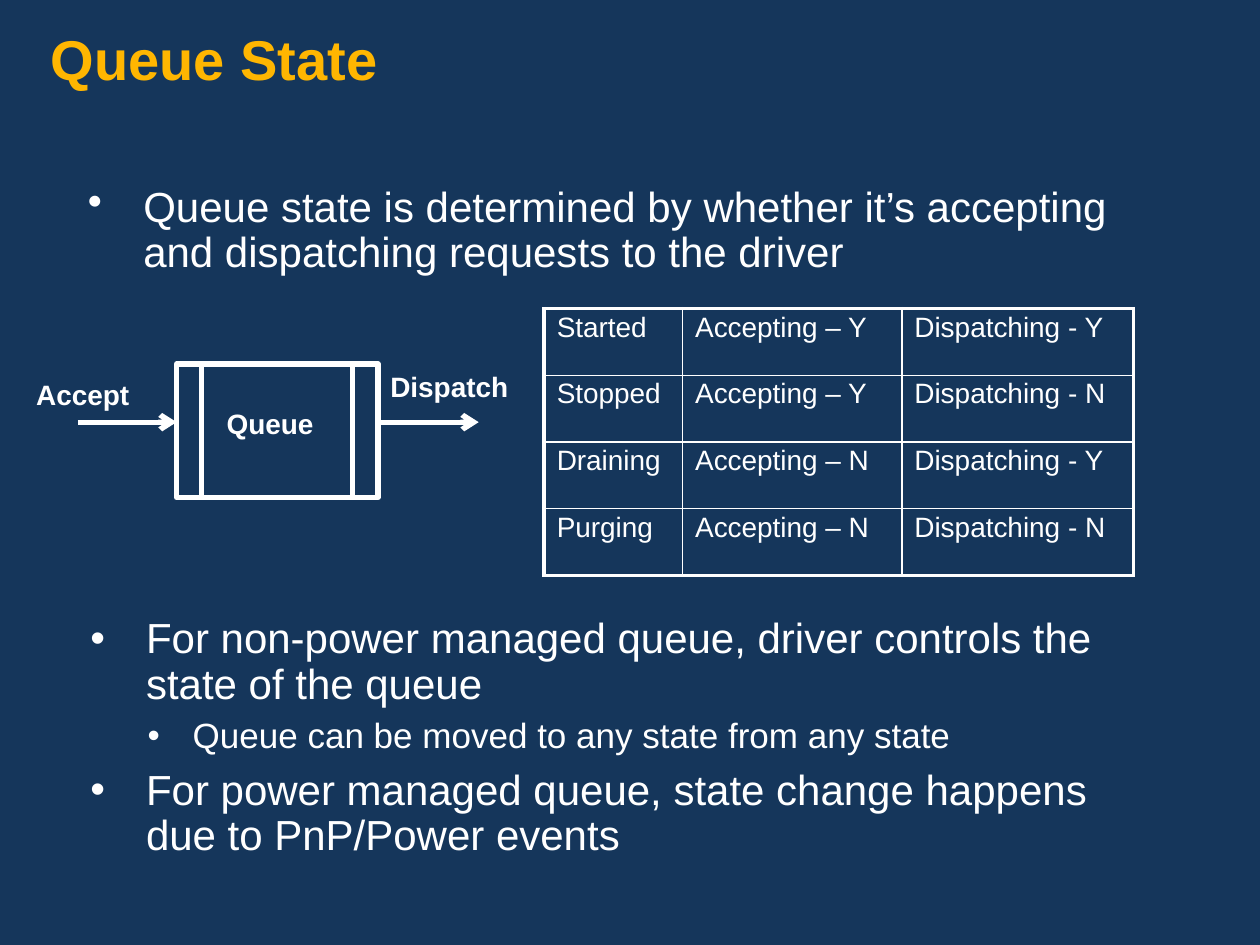
from dataclasses import dataclass

from lxml import etree
from pptx import Presentation
from pptx import util as u
from pptx.dml import color
from pptx.enum import shapes, text
from pptx.oxml import ns


@dataclass(frozen=True)
class Theme:
    background: color.RGBColor = color.RGBColor(0x15, 0x36, 0x5B)
    heading: color.RGBColor = color.RGBColor(0xFF, 0xB6, 0x01)
    ink: color.RGBColor = color.RGBColor(0xFF, 0xFF, 0xFF)
    font: str = "Arial"
    title_size: float = 32
    bullet_sizes: tuple = (24, 20)
    small_size: float = 16
    line_spacing: float = 0.9
    thick: float = 3
    outer: float = 2.25
    inner: float = 1


@dataclass(frozen=True)
class Box:
    left: float
    top: float
    width: float
    height: float

    def lengths(self) -> tuple:
        return tuple(u.Cm(v) for v in (self.left, self.top, self.width, self.height))


@dataclass(frozen=True)
class Label:
    words: str
    box: Box


@dataclass(frozen=True)
class Bullet:
    words: str
    level: int = 0


@dataclass(frozen=True)
class Arrow:
    start: float
    end: float
    height: float


@dataclass(frozen=True)
class QueueState:
    name: str
    accepting: str
    dispatching: str

    def cells(self) -> tuple:
        return (self.name, f"Accepting – {self.accepting}",
                f"Dispatching - {self.dispatching}")


THEME = Theme()
INDENTS = ((1.12, 1.12), (2.06, 0.91))
TITLE = Label("Queue State", Box(0, 0, 25.4, 1.9))
INTRO_BOX = Box(1.52, 3.63, 21.54, 2.08)
INTRO = [Bullet("Queue state is determined by whether it’s accepting and "
                "dispatching requests to the driver")]
CONTROL_BOX = Box(1.57, 12.32, 21.54, 5.23)
CONTROL = [
    Bullet("For non-power managed queue, driver controls the state of the queue"),
    Bullet("Queue can be moved to any state from any state", 1),
    Bullet("For power managed queue, state change happens due to PnP/Power events"),
]
TABLE_BOX = Box(10.97, 6.22, 11.88, 5.38)
COLUMN_WIDTHS = (2.79, 4.42, 4.67)
STATES = [
    QueueState("Started", "Y", "Y"),
    QueueState("Stopped", "Y", "N"),
    QueueState("Draining", "N", "Y"),
    QueueState("Purging", "N", "N"),
]
QUEUE_BOX = Box(3.56, 7.34, 4.06, 2.69)
ARROWS = [Arrow(1.57, 3.56, 8.51), Arrow(7.62, 9.65, 8.51)]
LABELS = [
    Label("Queue", Box(4.32, 8.08, 2.29, 0.94)),
    Label("Dispatch", Box(7.62, 7.32, 3.3, 0.94)),
    Label("Accept", Box(0.48, 7.49, 2.57, 0.94)),
]


def add_words(paragraph, words: str, size: float, bold: bool = False,
              ink: color.RGBColor = THEME.ink) -> None:
    run = paragraph.add_run()
    run.text = words
    run.font.name = THEME.font
    run.font.size = u.Pt(size)
    run.font.bold = bold
    run.font.color.rgb = ink
    paragraph.alignment = text.PP_ALIGN.LEFT


def place(holder, box: Box):
    holder.left, holder.top, holder.width, holder.height = box.lengths()
    frame = holder.text_frame
    frame.word_wrap = True
    frame.auto_size = text.MSO_AUTO_SIZE.NONE
    frame.vertical_anchor = text.MSO_ANCHOR.TOP
    return frame


def fill_bullets(frame, bullets: list[Bullet]) -> None:
    for index, bullet in enumerate(bullets):
        paragraph = frame.add_paragraph() if index else frame.paragraphs[0]
        size = THEME.bullet_sizes[bullet.level]
        margin, hanging = INDENTS[bullet.level]
        paragraph.level = bullet.level
        paragraph.line_spacing = THEME.line_spacing
        paragraph.space_before = u.Pt(0.3 * size if index else 0)
        add_words(paragraph, bullet.words, size)
        properties = paragraph._p.get_or_add_pPr()
        properties.set("marL", str(u.Cm(margin)))
        properties.set("indent", str(-u.Cm(hanging)))
        etree.SubElement(properties, ns.qn("a:buChar"), char="•")


def add_title(slide) -> None:
    frame = place(slide.shapes.title, TITLE.box)
    frame.margin_left = frame.margin_right = u.Cm(1.02)
    frame.margin_top, frame.margin_bottom = u.Cm(0.64), u.Cm(0.13)
    paragraph = frame.paragraphs[0]
    paragraph.line_spacing = THEME.line_spacing
    add_words(paragraph, TITLE.words, THEME.title_size, True, THEME.heading)


def set_borders(cell, widths: dict[str, float]) -> None:
    properties = cell._tc.get_or_add_tcPr()
    for position, (side, width) in enumerate(widths.items()):
        border = etree.Element(ns.qn(f"a:ln{side}"), w=str(u.Pt(width)))
        fill = etree.SubElement(border, ns.qn("a:solidFill"))
        etree.SubElement(fill, ns.qn("a:srgbClr"), val=str(THEME.ink))
        properties.insert(position, border)


def add_state_table(slide) -> None:
    last_row, last_column = len(STATES) - 1, len(COLUMN_WIDTHS) - 1
    table = slide.shapes.add_table(
        len(STATES), len(COLUMN_WIDTHS), *TABLE_BOX.lengths()).table
    table.first_row = table.horz_banding = False
    for column, width in zip(table.columns, COLUMN_WIDTHS):
        column.width = u.Cm(width)
    for r, state in enumerate(STATES):
        table.rows[r].height = u.Cm(TABLE_BOX.height / len(STATES))
        for c, words in enumerate(state.cells()):
            cell = table.cell(r, c)
            cell.fill.background()
            edges = {"L": c == 0, "R": c == last_column,
                     "T": r == 0, "B": r == last_row}
            set_borders(cell, {side: THEME.outer if edge else THEME.inner
                               for side, edge in edges.items()})
            paragraph = cell.text_frame.paragraphs[0]
            paragraph.line_spacing = THEME.line_spacing
            add_words(paragraph, words, THEME.small_size)


def add_queue(slide) -> None:
    queue = slide.shapes.add_shape(
        shapes.MSO_SHAPE.FLOWCHART_PREDEFINED_PROCESS, *QUEUE_BOX.lengths())
    queue.shadow.inherit = False
    queue.fill.background()
    queue.line.color.rgb = THEME.ink
    queue.line.width = u.Pt(THEME.thick)


def add_arrow(slide, arrow: Arrow) -> None:
    flow = slide.shapes.add_connector(
        shapes.MSO_CONNECTOR.STRAIGHT, u.Cm(arrow.start), u.Cm(arrow.height),
        u.Cm(arrow.end), u.Cm(arrow.height))
    flow.line.color.rgb = THEME.ink
    flow.line.width = u.Pt(THEME.thick)
    etree.SubElement(flow.line._get_or_add_ln(), ns.qn("a:tailEnd"), type="arrow")
    etree.SubElement(flow._element.spPr, ns.qn("a:effectLst"))


def add_label(slide, label: Label) -> None:
    frame = place(slide.shapes.add_textbox(*label.box.lengths()), label.box)
    add_words(frame.paragraphs[0], label.words, THEME.small_size, True)


def main() -> None:
    deck = Presentation()
    deck.slide_width, deck.slide_height = u.Cm(25.4), u.Cm(19.05)
    slide = deck.slides.add_slide(deck.slide_layouts[1])
    slide.background.fill.solid()
    slide.background.fill.fore_color.rgb = THEME.background
    add_title(slide)
    fill_bullets(place(slide.placeholders[1], CONTROL_BOX), CONTROL)
    add_state_table(slide)
    intro = slide.shapes.add_textbox(*INTRO_BOX.lengths())
    fill_bullets(place(intro, INTRO_BOX), INTRO)
    add_queue(slide)
    for arrow in ARROWS:
        add_arrow(slide, arrow)
    for label in LABELS:
        add_label(slide, label)
    deck.save("out.pptx")


if __name__ == "__main__":
    main()
